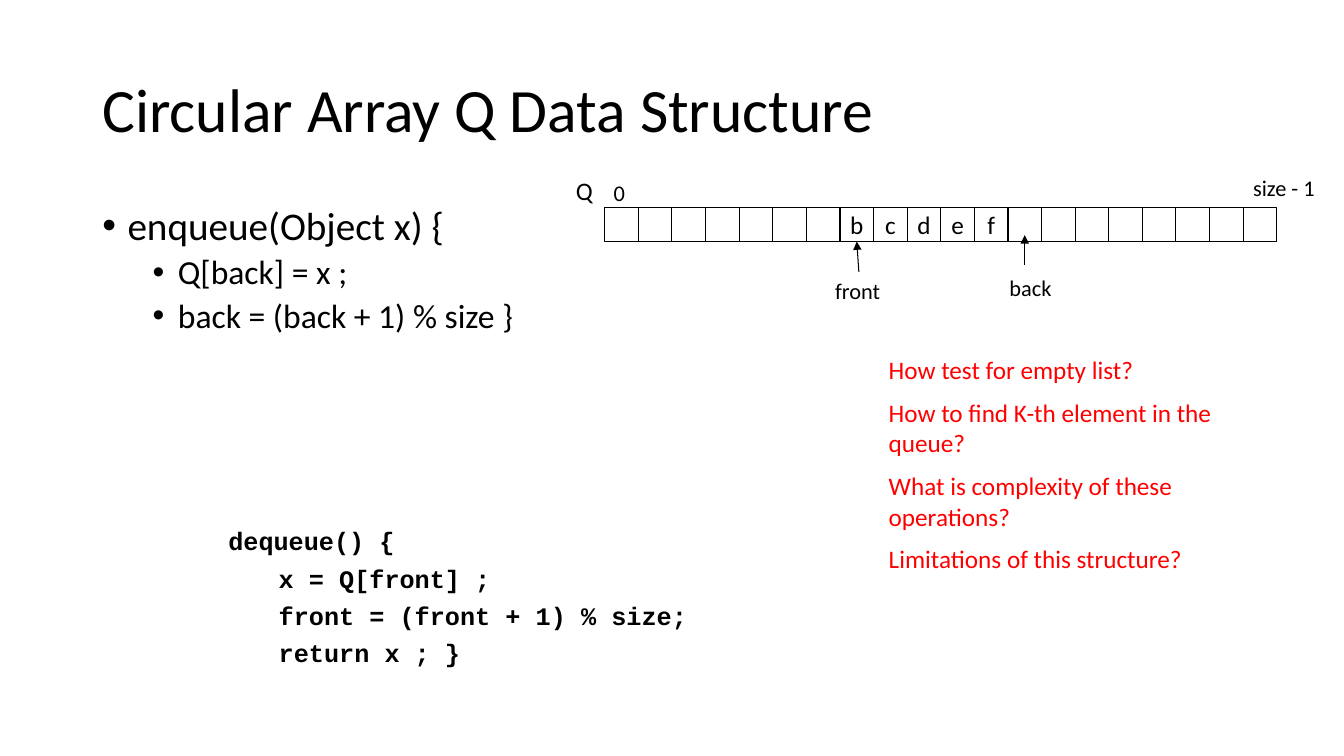
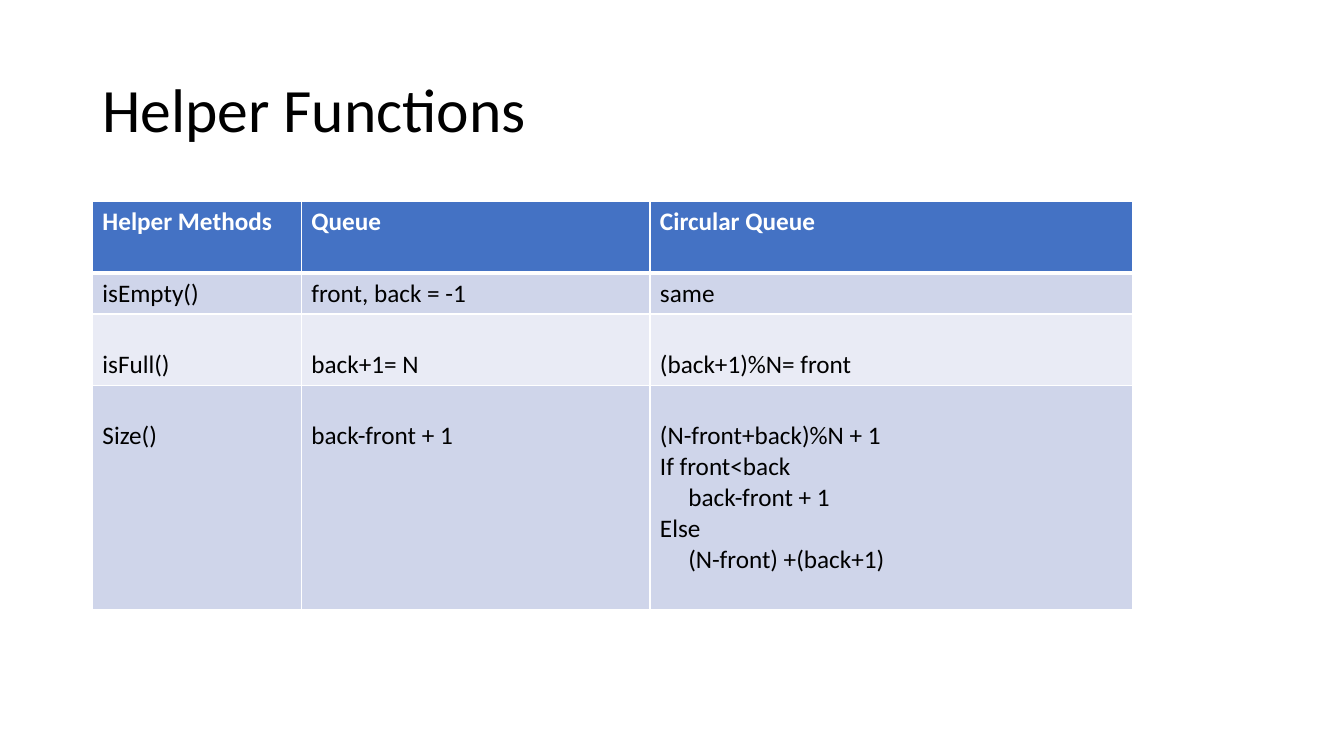
from dataclasses import dataclass
from typing import NamedTuple

from lxml.etree import SubElement
from pptx import Presentation
from pptx.dml.color import RGBColor
from pptx.enum.shapes import MSO_CONNECTOR, MSO_SHAPE
from pptx.enum.text import MSO_ANCHOR, MSO_AUTO_SIZE, PP_ALIGN
from pptx.oxml.ns import qn
from pptx.slide import Slide
from pptx.table import _Cell
from pptx.text.text import TextFrame
from pptx.util import Emu, Pt

SCALE = 9525
BLACK = RGBColor(0x00, 0x00, 0x00)
WHITE = RGBColor(0xFF, 0xFF, 0xFF)
RED = RGBColor(0xFF, 0x00, 0x00)
HEADER_BLUE = RGBColor(0x44, 0x72, 0xC4)
BAND_DARK = RGBColor(0xCF, 0xD5, 0xEA)
BAND_LIGHT = RGBColor(0xE9, 0xEB, 0xF5)
SANS = "Calibri"
MONO = "Courier New"


def px(n: int) -> Emu:
    return Emu(n * SCALE)


class Box(NamedTuple):
    left: int
    top: int
    width: int
    height: int

    def emu(self) -> tuple[Emu, ...]:
        return tuple(px(n) for n in self)


@dataclass(frozen=True)
class Para:
    text: str
    size: int = 18
    level: int = 0
    indent: int = 0
    bullet: bool = False
    before: int = 0


@dataclass(frozen=True)
class Label:
    text: str
    box: Box
    size: int = 16


@dataclass(frozen=True)
class Arrow:
    start: tuple[int, int]
    end: tuple[int, int]


@dataclass(frozen=True)
class TableRow:
    height: int
    fill: RGBColor
    cells: tuple[list[Para], ...]
    top_margin: int = 5
    color: RGBColor = BLACK
    bold: bool = False


TITLE_BOX = Box(88, 38, 1104, 139)
BODY_BOX = Box(88, 192, 544, 457)
CODE_BOX = Box(208, 496, 568, 142)
QUESTIONS_BOX = Box(837, 333, 336, 228)
BULLET_HANG = 24

ARRAY_LEFT, ARRAY_TOP, CELL_SIDE, ARRAY_SIZE = 576, 198, 32, 20
FRONT_INDEX = 7
QUEUE_ITEMS = "bcdef"
ARRAY_LABELS = [
    Label("Q", Box(539, 162, 36, 38), 18),
    Label("0", Box(575, 166, 31, 36)),
    Label("size - 1", Box(1184, 161, 82, 36)),
    Label("front", Box(786, 259, 63, 36)),
    Label("back", Box(952, 256, 60, 36)),
]
POINTERS = [Arrow((818, 259), (816, 230)), Arrow((976, 252), (976, 224))]

ENQUEUE = [
    Para("enqueue(Object x) {", 28, indent=24, bullet=True),
    Para("Q[back] = x ;", 24, 1, 72, True, 5),
    Para("back = (back + 1) % size }", 24, 1, 72, True, 5),
]
DEQUEUE = [
    Para("dequeue() {"),
    Para("x = Q[front] ;", level=1, indent=48, before=5),
    Para("front = (front + 1) % size;", level=1, indent=48, before=5),
    Para("return x ; }", level=1, indent=48, before=5),
]
QUESTIONS = [
    Para("How test for empty list?"),
    Para("How to find K-th element in the queue?", before=9),
    Para("What is complexity of these operations?", before=9),
    Para("Limitations of this structure?", before=9),
]

TABLE_LEFT, TABLE_TOP = 88, 192
COLUMN_WIDTHS = [199, 332, 460]
BELOW_ONE_LINE = 34
HELPER_ROWS = [
    TableRow(68, HEADER_BLUE,
             ([Para("Helper Methods")], [Para("Queue")], [Para("Circular Queue")]),
             color=WHITE, bold=True),
    TableRow(39, BAND_DARK,
             ([Para("isEmpty()")], [Para("front, back = -1")], [Para("same")])),
    TableRow(68, BAND_LIGHT,
             ([Para("isFull()")], [Para("back+1= N")], [Para("(back+1)%N= front")]),
             BELOW_ONE_LINE),
    TableRow(214, BAND_DARK,
             ([Para("Size()")], [Para("back-front + 1")],
              [Para("(N-front+back)%N + 1"), Para("If front<back"),
               Para("back-front + 1", indent=27), Para("Else"),
               Para("(N-front) +(back+1)", indent=27)]),
             BELOW_ONE_LINE),
]


def write(tf: TextFrame, paras: list[Para], *, font: str = SANS,
          color: RGBColor = BLACK, bold: bool = False,
          align: PP_ALIGN = PP_ALIGN.LEFT, line_spacing: float = 1.0) -> None:
    for i, para in enumerate(paras):
        p = tf.add_paragraph() if i else tf.paragraphs[0]
        p.level = para.level
        p.alignment = align
        p.line_spacing = line_spacing
        p.space_before = Pt(para.before)
        pPr = p._p.get_or_add_pPr()
        pPr.set("marL", str(px(para.indent)))
        pPr.set("indent", str(px(-BULLET_HANG if para.bullet else 0)))
        if para.bullet:
            SubElement(pPr, qn("a:buFont"), typeface="Arial")
            SubElement(pPr, qn("a:buChar"), char="•")
        r = p.add_run()
        r.text = para.text
        r.font.name = font
        r.font.size = Pt(para.size)
        r.font.bold = bold
        r.font.color.rgb = color


def add_text(s: Slide, box: Box, paras: list[Para], *, wrap: bool = True,
             anchor: MSO_ANCHOR = MSO_ANCHOR.TOP, grow: bool = False,
             **text_format) -> None:
    tf = s.shapes.add_textbox(*box.emu()).text_frame
    tf.word_wrap = wrap
    tf.vertical_anchor = anchor
    tf.auto_size = MSO_AUTO_SIZE.SHAPE_TO_FIT_TEXT if grow else MSO_AUTO_SIZE.NONE
    write(tf, paras, **text_format)


def add_titled_slide(prs: Presentation, title: str) -> Slide:
    s = prs.slides.add_slide(prs.slide_layouts[6])
    add_text(s, TITLE_BOX, [Para(title, 44)], anchor=MSO_ANCHOR.MIDDLE,
             line_spacing=0.9)
    return s


def add_array_cell(s: Slide, index: int) -> None:
    box = Box(ARRAY_LEFT + index * CELL_SIDE, ARRAY_TOP, CELL_SIDE, CELL_SIDE)
    sp = s.shapes.add_shape(MSO_SHAPE.RECTANGLE, *box.emu())
    sp.shadow.inherit = False
    sp.fill.background()
    sp.line.color.rgb = BLACK
    sp.line.width = Pt(0.75)
    offset = index - FRONT_INDEX
    if 0 <= offset < len(QUEUE_ITEMS):
        tf = sp.text_frame
        tf.word_wrap = False
        tf.vertical_anchor = MSO_ANCHOR.MIDDLE
        write(tf, [Para(QUEUE_ITEMS[offset])], align=PP_ALIGN.CENTER)


def add_arrow(s: Slide, arrow: Arrow) -> None:
    ends = (px(n) for n in arrow.start + arrow.end)
    cxn = s.shapes.add_connector(MSO_CONNECTOR.STRAIGHT, *ends)
    cxn.line.color.rgb = BLACK
    cxn.line.width = Pt(0.75)
    SubElement(cxn.line._get_or_add_ln(), qn("a:tailEnd"), type="triangle")
    SubElement(cxn._element.spPr, qn("a:effectLst"))


def set_borders(cell: _Cell, top: int, bottom: int) -> None:
    tcPr = cell._tc.get_or_add_tcPr()
    for side, width in (("L", 1), ("R", 1), ("T", top), ("B", bottom)):
        ln = SubElement(tcPr, qn(f"a:ln{side}"), w=str(Pt(width)))
        fill = SubElement(ln, qn("a:solidFill"))
        SubElement(fill, qn("a:srgbClr"), val=str(WHITE))


def add_helper_table(s: Slide) -> None:
    box = Box(TABLE_LEFT, TABLE_TOP, sum(COLUMN_WIDTHS),
              sum(row.height for row in HELPER_ROWS))
    table = s.shapes.add_table(len(HELPER_ROWS), len(COLUMN_WIDTHS), *box.emu()).table
    for column, width in zip(table.columns, COLUMN_WIDTHS):
        column.width = px(width)
    for i, row in enumerate(HELPER_ROWS):
        table.rows[i].height = px(row.height)
        for j, paras in enumerate(row.cells):
            cell = table.cell(i, j)
            set_borders(cell, 3 if i == 1 else 1, 3 if i == 0 else 1)
            cell.fill.solid()
            cell.fill.fore_color.rgb = row.fill
            cell.margin_top = px(row.top_margin)
            cell.margin_bottom = px(4)
            write(cell.text_frame, paras, color=row.color, bold=row.bold)


def build_array_slide(prs: Presentation) -> None:
    s = add_titled_slide(prs, "Circular Array Q Data Structure")
    add_text(s, BODY_BOX, ENQUEUE, line_spacing=0.9)
    for index in range(ARRAY_SIZE):
        add_array_cell(s, index)
    for label in ARRAY_LABELS:
        add_text(s, label.box, [Para(label.text, label.size)], wrap=False, grow=True)
    for arrow in POINTERS:
        add_arrow(s, arrow)
    add_text(s, CODE_BOX, DEQUEUE, grow=True, font=MONO, bold=True)
    add_text(s, QUESTIONS_BOX, QUESTIONS, grow=True, color=RED)


def build_helper_slide(prs: Presentation) -> None:
    add_helper_table(add_titled_slide(prs, "Helper Functions"))


def main() -> None:
    prs = Presentation()
    prs.slide_width, prs.slide_height = px(1280), px(720)
    build_array_slide(prs)
    build_helper_slide(prs)
    prs.save("out.pptx")


if __name__ == "__main__":
    main()
